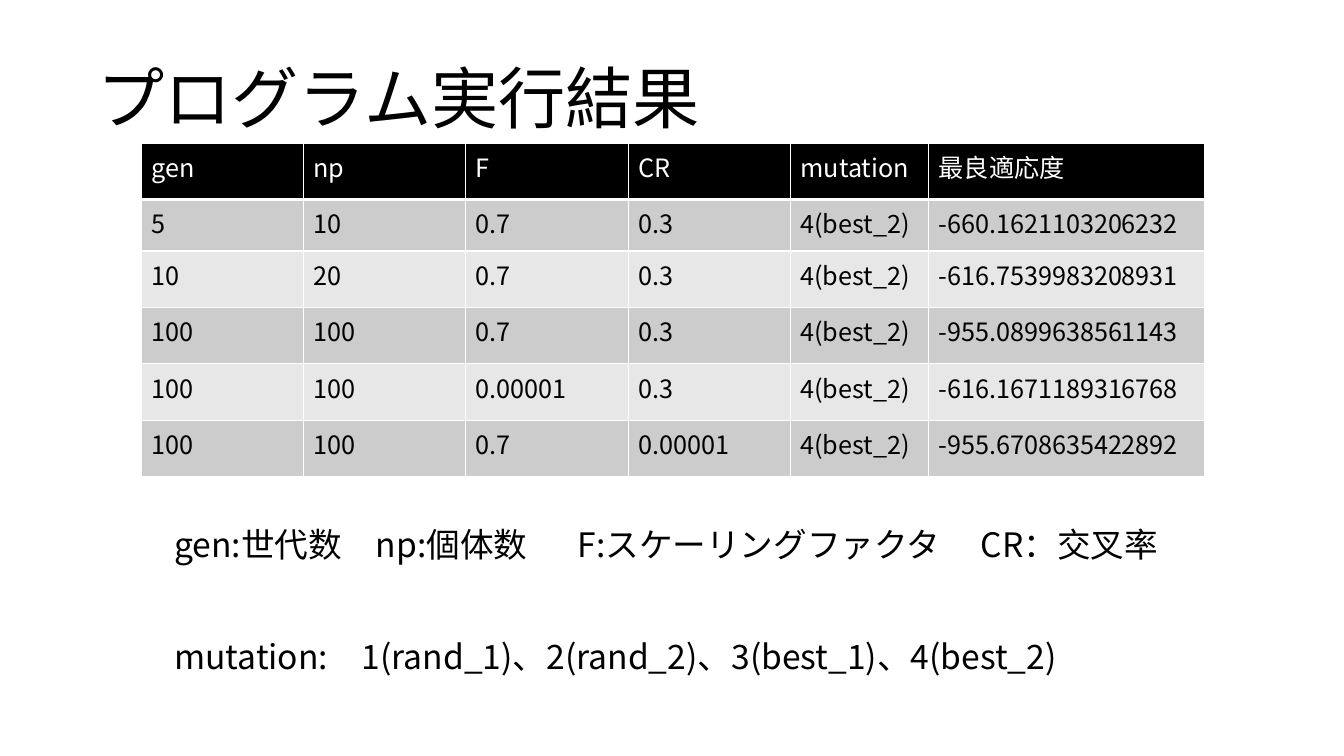
from dataclasses import astuple, dataclass

from lxml.etree import SubElement
from pptx import Presentation
from pptx.dml.color import RGBColor as Color
from pptx.enum.text import MSO_ANCHOR as Anchor, MSO_AUTO_SIZE as AutoSize, PP_ALIGN as Align
from pptx.oxml.ns import qn
from pptx.util import Inches, Pt

COLORS = {"ink": "000000", "paper": "FFFFFF", "odd": "CCCCCC", "even": "E7E7E7"}
FONT = "Noto Sans CJK JP"
GRID = Inches(0.1)  # side of one square grid cell

HEADINGS = ("gen", "np", "F", "CR", "mutation", "最良適応度")
COLUMN_SPANS = (16.1, 16.1, 16.1, 16.1, 13.7, 27.4)
ROW_SPANS = (5.6, 5.1, 5.6, 5.6, 5.6, 5.6)
LEGEND = (
    "gen:世代数\tnp:個体数\tF:スケーリングファクタ\tCR:交叉率".replace("CR:", "CR："),
    "mutation:\u30001(rand_1)、2(rand_2)、3(best_1)、4(best_2)",
)


@dataclass(frozen=True)
class Box:
    """A place on the slide, in grid columns and rows."""
    left: float
    top: float
    width: float
    height: float

    def place(self) -> tuple[int, ...]:
        """Return left, top, width and height as slide lengths."""
        return tuple(cells(value) for value in astuple(self))


@dataclass(frozen=True)
class Trial:
    """One program run: its parameters and the best fitness found."""
    generations: str
    population: str
    scaling: str
    crossover: str
    mutation: str
    fitness: str


TRIALS = (
    Trial("5", "10", "0.7", "0.3", "4(best_2)", "-660.1621103206232"),
    Trial("10", "20", "0.7", "0.3", "4(best_2)", "-616.7539983208931"),
    Trial("100", "100", "0.7", "0.3", "4(best_2)", "-955.0899638561143"),
    Trial("100", "100", "0.00001", "0.3", "4(best_2)", "-616.1671189316768"),
    Trial("100", "100", "0.7", "0.00001", "4(best_2)", "-955.6708635422892"),
)
TITLE_BOX = Box(4.2, 3.4, 70.7, 10.8)
TABLE_BOX = Box(14, 14.2, sum(COLUMN_SPANS), sum(ROW_SPANS))
LEGEND_BOX = Box(16.3, 51.5, 103, 22)


def cells(count: float) -> int:
    """Turn a number of grid cells into a slide length."""
    return round(count * GRID)


def write(paragraph, text: str, *, size: float, color: str = "ink", align=Align.LEFT,
          line_spacing: float = 1.0, before: float = 0) -> None:
    """Put formatted text into a paragraph."""
    paragraph.alignment = align
    paragraph.line_spacing = line_spacing
    paragraph.space_before = Pt(before)
    run = paragraph.add_run()
    run.text = text
    run.font.size = Pt(size)
    run.font.bold = False
    run.font.name = FONT
    run.font.color.rgb = Color.from_string(COLORS[color])
    SubElement(run.font._element, qn("a:ea"), typeface=FONT)


def add_borders(cell, bottom: float) -> None:
    """Draw white lines round a cell, the lower one of its own width."""
    properties = cell._tc.get_or_add_tcPr()
    for side, width in (("L", 1), ("R", 1), ("T", 1), ("B", bottom)):
        line = SubElement(properties, qn(f"a:ln{side}"), w=str(Pt(width)))
        fill = SubElement(line, qn("a:solidFill"))
        SubElement(fill, qn("a:srgbClr"), val=COLORS["paper"])


def add_title(slide, text: str) -> None:
    """Fill and place the title placeholder."""
    title = slide.shapes.title
    title.left, title.top, title.width, title.height = TITLE_BOX.place()
    frame = title.text_frame
    frame.auto_size = AutoSize.NONE
    frame.vertical_anchor = Anchor.BOTTOM
    write(frame.paragraphs[0], text, size=48, align=Align.CENTER, line_spacing=0.9)


def add_results(slide) -> None:
    """Draw the table of trials with a dark heading and banded rows."""
    rows = (HEADINGS, *map(astuple, TRIALS))
    table = slide.shapes.add_table(len(rows), len(HEADINGS), *TABLE_BOX.place()).table
    for column, span in zip(table.columns, COLUMN_SPANS):
        column.width = cells(span)
    for index, (row, span, values) in enumerate(zip(table.rows, ROW_SPANS, rows)):
        row.height = cells(span)
        heading = index == 0
        band = "ink" if heading else "odd" if index % 2 else "even"
        for cell, value in zip(row.cells, values):
            add_borders(cell, bottom=3 if heading else 1)
            cell.fill.solid()
            cell.fill.fore_color.rgb = Color.from_string(COLORS[band])
            write(cell.text_frame.paragraphs[0], value, size=18,
                  color="paper" if heading else "ink")


def add_legend(slide) -> None:
    """Explain the table headings below the table."""
    frame = slide.shapes.add_textbox(*LEGEND_BOX.place()).text_frame
    frame.word_wrap = True
    for index, text in enumerate(LEGEND):
        paragraph = frame.add_paragraph() if index else frame.paragraphs[0]
        write(paragraph, text, size=24, before=51 if index else 0)


def main() -> None:
    """Build and save the presentation."""
    presentation = Presentation()
    presentation.slide_width, presentation.slide_height = Inches(13.33), Inches(7.5)
    title_only = presentation.slide_layouts[5]
    slide = presentation.slides.add_slide(title_only)
    add_title(slide, "プログラム実行結果")
    add_results(slide)
    add_legend(slide)
    presentation.save("out.pptx")


main()
